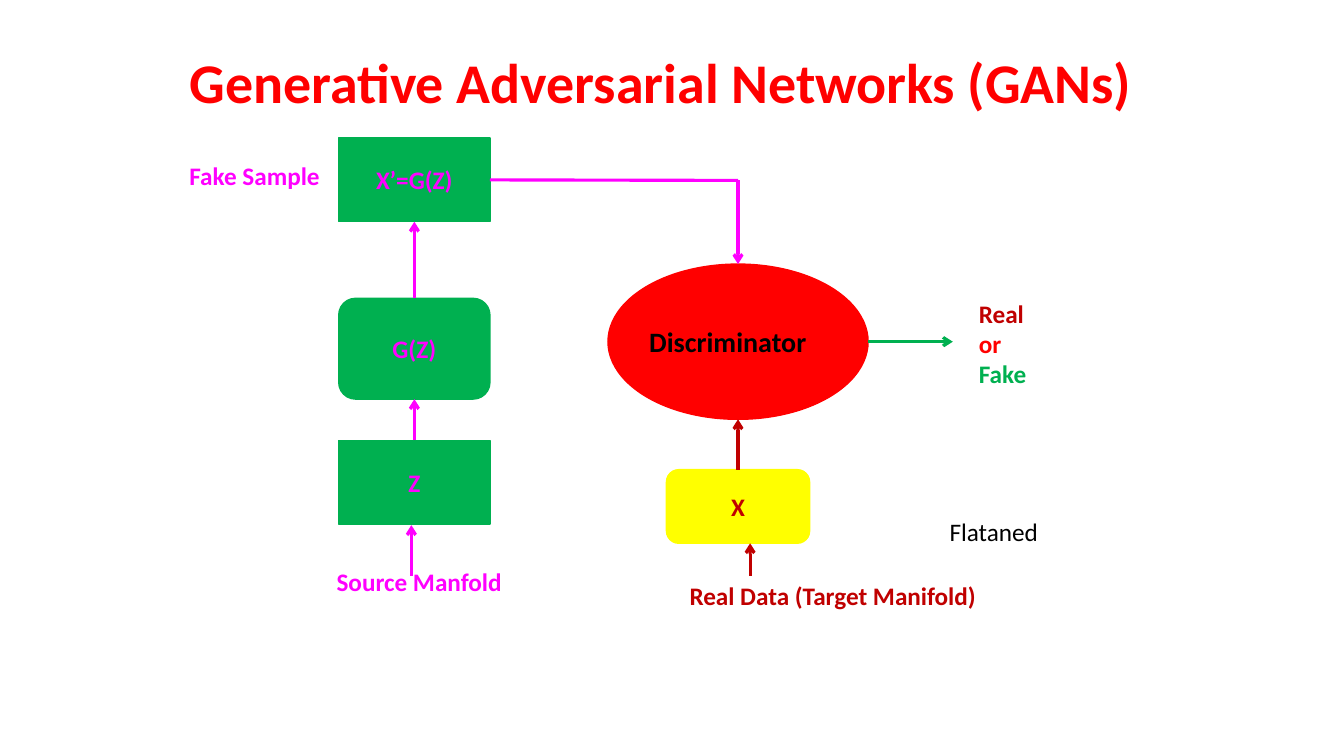
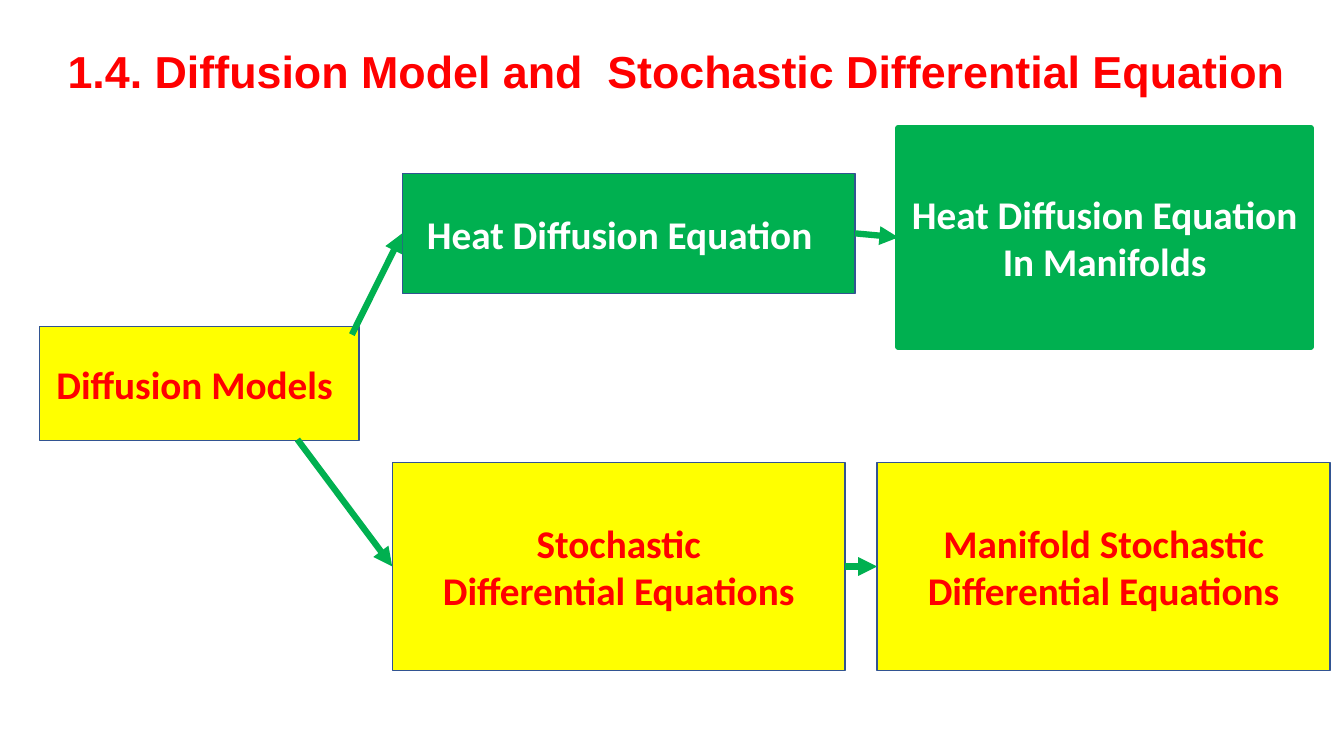
from dataclasses import dataclass

from lxml.etree import SubElement
from pptx import Presentation
from pptx.dml.color import RGBColor
from pptx.enum.shapes import MSO_CONNECTOR, MSO_SHAPE
from pptx.enum.text import MSO_ANCHOR, MSO_AUTO_SIZE, PP_ALIGN
from pptx.oxml.ns import qn
from pptx.util import Inches, Pt

TOP, LEFT, BOTTOM, RIGHT = range(4)


@dataclass(frozen=True)
class Theme:
    red: str = "FF0000"
    dark_red: str = "C00000"
    green: str = "00B050"
    yellow: str = "FFFF00"
    magenta: str = "FF00FF"
    navy: str = "325491"
    white: str = "FFFFFF"
    black: str = "000000"
    font: str = "Calibri"
    title_font: str = "Arial"
    label: int = 18
    emphasis: int = 20
    block: int = 28
    section: int = 32
    title: int = 40
    thin: float = 2.25
    thick: float = 4.5


THEME = Theme()


class Deck:
    """Holds the presentation, its style and the current slide."""

    def __init__(self, theme):
        self.t = theme
        self.prs = Presentation()
        self.prs.slide_width, self.prs.slide_height = Inches(13.33), Inches(7.5)
        self.s = None

    def fill_text(self, tf, lines, size, color, font=None, bold=True,
                  align=PP_ALIGN.LEFT, anchor=MSO_ANCHOR.TOP):
        """Each line is a string or a (string, colour) pair."""
        frame = {"word_wrap": True, "auto_size": MSO_AUTO_SIZE.NONE,
                 "vertical_anchor": anchor}
        for name, value in frame.items():
            setattr(tf, name, value)
        style = {"name": font or self.t.font, "size": Pt(size), "bold": bold}
        for i, line in enumerate(lines):
            text, ink = (line, color) if isinstance(line, str) else line
            p = tf.add_paragraph() if i else tf.paragraphs[0]
            p.alignment = align
            r = p.add_run()
            r.text = text
            for name, value in style.items():
                setattr(r.font, name, value)
            r.font.color.rgb = RGBColor.from_string(ink)

    def slide(self, title, at, size, font=None):
        self.s = self.prs.slides.add_slide(self.prs.slide_layouts[5])
        sp = self.s.shapes.title
        for name, value in zip(("left", "top", "width", "height"), at):
            setattr(sp, name, Inches(value))
        self.fill_text(sp.text_frame, [title], size, self.t.red, font)

    def label(self, at, lines, color, size=None, bold=True):
        sp = self.s.shapes.add_textbox(*map(Inches, at))
        self.fill_text(sp.text_frame, lines, size or self.t.label, color, bold=bold)

    def box(self, at, lines, fill, color, size, line=None, width=1,
            kind=MSO_SHAPE.RECTANGLE, right_inset=0.1):
        sp = self.s.shapes.add_shape(kind, *map(Inches, at))
        sp.shadow.inherit = False
        sp.fill.solid()
        sp.fill.fore_color.rgb = RGBColor.from_string(fill)
        sp.line.color.rgb = RGBColor.from_string(line or fill)
        sp.line.width = Pt(width)
        sp.text_frame.margin_right = Inches(right_inset)
        self.fill_text(sp.text_frame, lines, size, color,
                       align=PP_ALIGN.CENTER, anchor=MSO_ANCHOR.MIDDLE)
        return sp

    def arrow(self, start, end, color, width, head="arrow"):
        """Each end is an (x, y) point or a (shape, side) pair."""
        points = [(0, 0) if hasattr(e[0], "shape_id") else e for e in (start, end)]
        c = self.s.shapes.add_connector(
            MSO_CONNECTOR.STRAIGHT, *(Inches(v) for xy in points for v in xy))
        for e, join in ((start, c.begin_connect), (end, c.end_connect)):
            if hasattr(e[0], "shape_id"):
                join(*e)
        c.line.color.rgb = RGBColor.from_string(color)
        c.line.width = Pt(width)
        sp_pr = c._element.spPr
        if head:
            SubElement(sp_pr.find(qn("a:ln")), qn("a:tailEnd"), type=head)
        SubElement(sp_pr, qn("a:effectLst"))


def gan_slide(d):
    t = d.t
    d.slide("Generative Adversarial Networks (GANs)",
            (1.78, 0.42, 10.82, 0.8), t.title)

    # Generator column
    fake, generator, source = [
        d.box((3.36, y, 1.5, h), [text], t.green, t.magenta, t.label, kind=kind)
        for text, y, h, kind in (
            ("X’=G(Z)", 1.37, 0.83, MSO_SHAPE.RECTANGLE),
            ("G(Z)", 2.96, 1, MSO_SHAPE.ROUNDED_RECTANGLE),
            ("Z", 4.37, 0.83, MSO_SHAPE.RECTANGLE))]

    # Real data and discriminator
    real = d.box((6.61, 4.66, 1.42, 0.73), ["X"], t.yellow, t.dark_red, t.label,
                 kind=MSO_SHAPE.ROUNDED_RECTANGLE)
    d.box((6.03, 2.62, 2.58, 1.54), [], t.red, t.black, t.emphasis,
          kind=MSO_SHAPE.OVAL)

    # Flow
    corner = (7.32, 1.79)
    for start, end, color, head in (
            ((4.08, 5.71), (4.08, 5.21), t.magenta, "arrow"),
            ((source, TOP), (generator, BOTTOM), t.magenta, "arrow"),
            ((generator, TOP), (fake, BOTTOM), t.magenta, "arrow"),
            ((fake, RIGHT), corner, t.magenta, None),
            (corner, (7.32, 2.62), t.magenta, "arrow"),
            ((7.44, 5.71), (7.44, 5.39), t.dark_red, "arrow"),
            ((real, TOP), (7.32, 4.16), t.dark_red, "arrow"),
            ((8.61, 3.39), (9.45, 3.39), t.green, "arrow")):
        d.arrow(start, end, color, t.thin, head)

    # Labels
    d.label((1.78, 1.54, 1.71, 0.4), ["Fake Sample"], t.magenta)
    d.label((3.24, 5.57, 2.1, 0.4), ["Source Manfold"], t.magenta)
    d.label((6.74, 5.71, 3.35, 0.4), ["Real Data (Target Manifold)"], t.dark_red)
    d.label((9.61, 2.91, 0.92, 1.01),
            ["Real", ("or", t.red), ("Fake", t.green)], t.dark_red)
    d.label((6.34, 3.17, 1.96, 0.44), ["Discriminator"], t.black, t.emphasis)
    d.label((9.32, 5.07, 2.56, 0.4), ["Flataned"], t.black, bold=False)


def diffusion_slide(d):
    t = d.t
    d.slide("1.4. Diffusion Model and  Stochastic Differential Equation",
            (0.57, 0.38, 12.63, 0.64), t.section, t.title_font)

    # Boxes
    yellow = (t.yellow, t.red, t.block, t.navy)
    green = (t.green, t.white, t.block)
    d.box((0.39, 3.24, 3.17, 1.13), ["Diffusion Models"], *yellow, right_inset=0.19)
    heat = d.box((3.99, 1.72, 4.49, 1.19), ["Heat Diffusion Equation"],
                 *green, t.navy, right_inset=0.28)
    heat_manifold = d.box((8.91, 1.27, 4.09, 2.17),
                          ["Heat Diffusion Equation", "In Manifolds"],
                          *green, width=t.thick)
    sde, sde_manifold = [
        d.box((x, 4.59, 4.49, 2.06), [first, "Differential Equations"], *yellow)
        for x, first in ((3.89, "Stochastic"), (8.7, "Manifold Stochastic"))]

    # Arrows
    for start, end in (((3.49, 3.32), (heat, LEFT)),
                       ((2.95, 4.36), (sde, LEFT)),
                       ((heat, RIGHT), (heat_manifold, LEFT)),
                       ((sde, RIGHT), (sde_manifold, LEFT))):
        d.arrow(start, end, t.green, t.thick, "triangle")


def main():
    d = Deck(THEME)
    gan_slide(d)
    diffusion_slide(d)
    d.prs.save("out.pptx")


if __name__ == "__main__":
    main()
